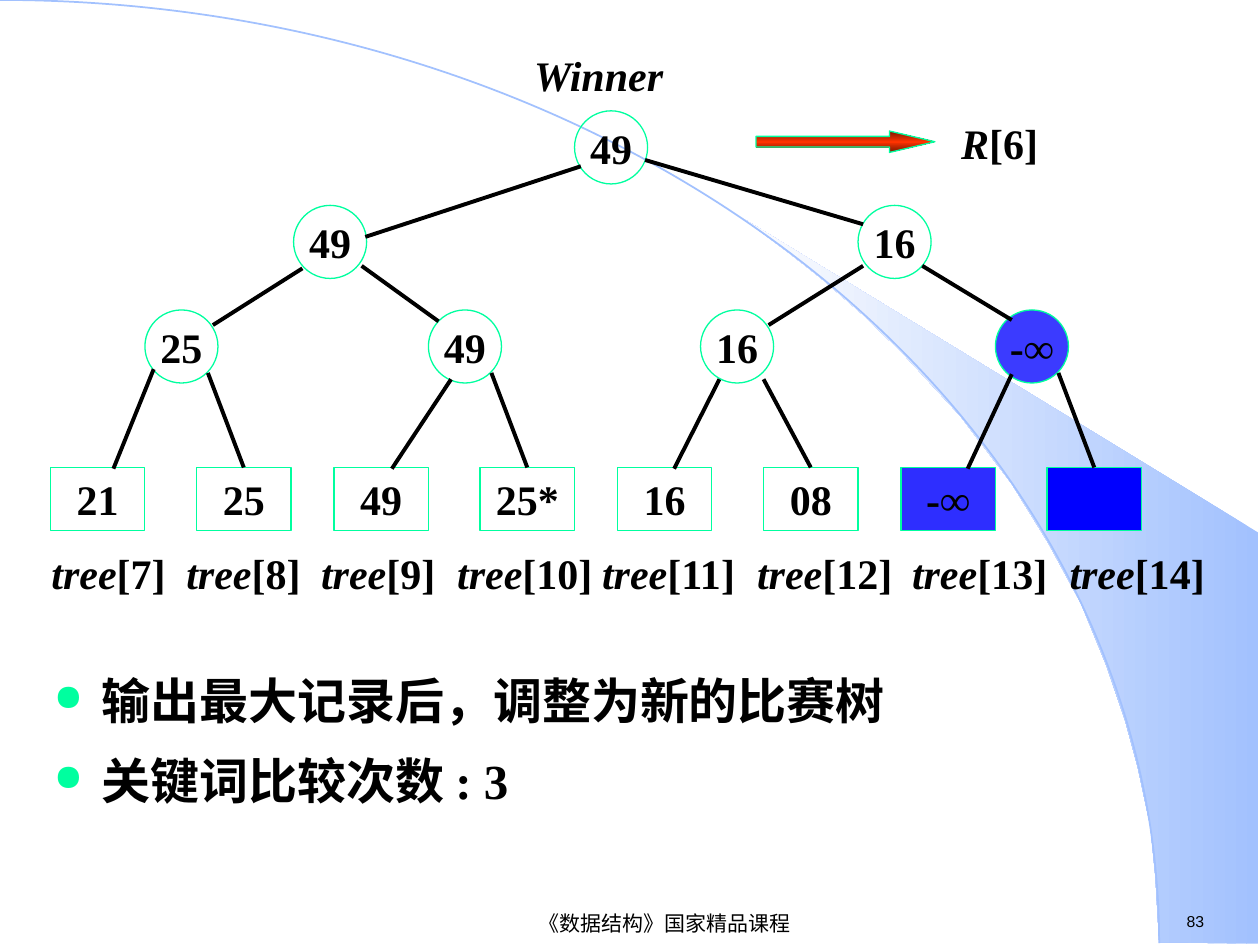
from typing import NamedTuple

from lxml import etree
from pptx import Presentation
from pptx import util as u
from pptx.dml.color import RGBColor
from pptx.enum import shapes, text
from pptx.oxml.ns import qn

COLORS = {
    "ink": "000000",
    "outline": "00FF9F",
    "vacant": "0000FF",
    "swoosh": "A2C1FE",
    "swoosh_end": "FEFEFE",
    "arrow": "FF3300",
    "arrow_edge": "751700",
}
SERIF, SANS = "Times New Roman", "Arial"
CIRCLE, LEAF = (0.58, 0.58), (0.75, 0.5)
LEAF_TOP = 3.71


class Node(NamedTuple):
    label: str
    left: float
    top: float
    opacity: int = 0


class Edge(NamedTuple):
    start: tuple[float, float]
    end: tuple[float, float]


MATCHES = [
    Node("49", 4.56, 0.88),
    Node("49", 2.33, 1.63), Node("16", 6.81, 1.63),
    Node("25", 1.15, 2.46), Node("49", 3.4, 2.46),
    Node("16", 5.56, 2.46), Node("-∞", 7.9, 2.46, 77),
]
LEAF_LABELS = ["21", "25", "49", "25*", "16", "08", "-∞", ""]
LEAF_OPACITY = {6: 82, 7: 100}
# Leaves come in pairs 2.25 apart, 1.16 between the two of a pair.
LEAVES = [
    Node(label, 0.4 + 2.25 * (i // 2) + 1.16 * (i % 2), LEAF_TOP, LEAF_OPACITY.get(i, 0))
    for i, label in enumerate(LEAF_LABELS)
]
MATCH_EDGES = [
    Edge((5.12, 1.27), (6.85, 1.78)), Edge((4.61, 1.32), (2.9, 1.88)),
    Edge((2.4, 2.13), (1.69, 2.58)), Edge((2.87, 2.11), (3.48, 2.55)),
    Edge((6.85, 2.11), (6.1, 2.58)), Edge((7.32, 2.11), (8.03, 2.54)),
]
LEFT_LEAF_EDGES = [
    Edge((1.22, 2.93), (0.9, 3.72)), Edge((3.58, 3.01), (3.11, 3.72)),
    Edge((5.71, 3.01), (5.35, 3.72)), Edge((8.03, 2.97), (7.68, 3.72)),
]
RIGHT_LEAF_STARTS = [(1.65, 2.96), (3.9, 2.96), (6.06, 3.01), (8.4, 2.96)]
INDEX_TABS = [1.07, 2.14, 3.22, 4.37, 5.6, 6.83, 8.08]
SWOOSH = [
    (9.2, 7.48), (9.99, 7.49), (9.99, 4.23), (5.89, 1.73), (6.24, 1.99), (6.53, 2.22),
    (6.85, 2.5), (7.16, 2.8), (7.62, 3.3), (8.03, 3.84), (8.32, 4.31), (8.58, 4.79),
    (8.78, 5.28), (8.93, 5.72), (9.03, 6.09), (9.13, 6.56), (9.17, 6.96),
]


def rgb(name: str) -> RGBColor:
    return RGBColor.from_string(COLORS[name])


def inches(*lengths: float) -> list[u.Length]:
    return [u.Inches(length) for length in lengths]


def add_child(parent, tag: str, **attributes: str):
    return etree.SubElement(parent, qn(tag), attributes)


def write_text(paragraph, runs, *, size=24, font=SERIF, bold=True,
               align=text.PP_ALIGN.LEFT) -> None:
    """Add runs given as (wording, italic) pairs."""
    paragraph.alignment = align
    for wording, italic in runs:
        run = paragraph.add_run()
        run.text = wording
        run.font.size, run.font.name = u.Pt(size), font
        run.font.bold, run.font.italic = bold, italic
        run.font.color.rgb = rgb("ink")


def add_text(slide, box, runs, *, wrap=False, grow=True, middle=False, **style):
    frame = slide.shapes.add_textbox(*inches(*box)).text_frame
    frame.word_wrap = wrap
    frame.auto_size = text.MSO_AUTO_SIZE.SHAPE_TO_FIT_TEXT if grow else text.MSO_AUTO_SIZE.NONE
    if middle:
        frame.vertical_anchor = text.MSO_ANCHOR.MIDDLE
    write_text(frame.paragraphs[0], runs, **style)
    return frame


def fill_gradient(shape, stops: list[tuple[int, str]], angle: int) -> None:
    shape.fill.gradient()
    shape.fill.gradient_angle = angle
    stop_list = next(shape.element.iter(qn("a:gsLst")))
    for stop in list(stop_list):
        stop_list.remove(stop)
    for percent, name in stops:
        stop = add_child(stop_list, "a:gs", pos=str(percent * 1000))
        add_child(stop, "a:srgbClr", val=COLORS[name])


def add_outlined(slide, preset, box, color="outline", width=0.75):
    shape = slide.shapes.add_shape(preset, *inches(*box))
    shape.shadow.inherit = False
    shape.fill.background()
    shape.line.color.rgb = rgb(color)
    shape.line.width = u.Pt(width)
    return shape


def add_node(slide, node: Node, preset, size: tuple[float, float]):
    shape = add_outlined(slide, preset, (node.left, node.top, *size))
    if node.opacity:
        shape.fill.solid()
        shape.fill.fore_color.rgb = rgb("vacant")
        color = next(shape.element.spPr.iter(qn("a:srgbClr")))
        add_child(color, "a:alpha", val=str(node.opacity * 1000))
    if node.label:
        frame = shape.text_frame
        frame.word_wrap = False
        frame.vertical_anchor = text.MSO_ANCHOR.MIDDLE
        write_text(frame.paragraphs[0], [(node.label, False)], align=text.PP_ALIGN.CENTER)
    return shape


def add_edge(slide, edge: Edge):
    line = slide.shapes.add_connector(
        shapes.MSO_CONNECTOR.STRAIGHT, *inches(*edge.start, *edge.end))
    line.line.color.rgb = rgb("ink")
    line.line.width = u.Pt(2.25)
    add_child(line.element.spPr, "a:effectLst")
    return line


def add_background(slide) -> None:
    first, *rest = [tuple(inches(*point)) for point in SWOOSH]
    builder = slide.shapes.build_freeform(*first, scale=1.0)
    builder.add_line_segments(rest, close=True)
    swoosh = builder.convert_to_shape()
    swoosh.shadow.inherit = False
    swoosh.line.fill.background()
    fill_gradient(swoosh, [(0, "swoosh"), (100, "swoosh_end")], 180)
    add_outlined(slide, shapes.MSO_SHAPE.ARC, (-9.2, 0, 18.4, 14.97), "swoosh", 1)


def add_tree(slide) -> None:
    for node in MATCHES:
        add_node(slide, node, shapes.MSO_SHAPE.OVAL, CIRCLE)
    leaves = [add_node(slide, leaf, shapes.MSO_SHAPE.RECTANGLE, LEAF) for leaf in LEAVES]
    for edge in MATCH_EDGES + LEFT_LEAF_EDGES:
        add_edge(slide, edge)
    for start, leaf in zip(RIGHT_LEAF_STARTS, leaves[1::2]):
        add_edge(slide, Edge(start, (start[0], LEAF_TOP))).end_connect(leaf, 0)


def add_index_row(slide) -> None:
    """Label the leaves tree[7] to tree[14], spaced by tab stops."""
    runs = []
    for index in range(7, 15):
        runs += [("tree", True), (f"[{index}]" + ("\t" if index < 14 else ""), False)]
    frame = add_text(slide, (0.31, 4.3, 9.42, 0.5), runs, wrap=True)
    tabs = add_child(frame.paragraphs[0]._p.get_or_add_pPr(), "a:tabLst")
    for position in INDEX_TABS:
        add_child(tabs, "a:tab", pos=str(u.Inches(position)), algn="l")


def add_bullets(slide, lines: list[str]) -> None:
    frame = slide.shapes.add_textbox(*inches(0.33, 5.11, 9.35, 1.52)).text_frame
    frame.word_wrap = True
    for i, line in enumerate(lines):
        paragraph = frame.add_paragraph() if i else frame.paragraphs[0]
        paragraph.line_spacing = 1.35
        properties = paragraph._p.get_or_add_pPr()
        properties.set("marL", str(u.Inches(0.38)))
        properties.set("indent", str(u.Inches(-0.38)))
        add_child(add_child(properties, "a:buClr"), "a:srgbClr", val=COLORS["outline"])
        add_child(properties, "a:buSzPct", val="75000")
        add_child(properties, "a:buChar", char="●")
        write_text(paragraph, [(line, False)], size=28, align=text.PP_ALIGN.JUSTIFY)


def main() -> None:
    presentation = Presentation()
    presentation.slide_width, presentation.slide_height = inches(10, 7.5)
    slide = presentation.slides.add_slide(presentation.slide_layouts[6])
    add_background(slide)
    add_text(slide, (9.32, 7.19, 0.77, 0.25), [("83", False)], size=9, font=SANS, bold=False)
    add_text(slide, (2.4, 7.21, 5.75, 0.24), [("《数据结构》国家精品课程", False)], grow=False,
             middle=True, size=12, font=SANS, bold=False, align=text.PP_ALIGN.CENTER)
    add_bullets(slide, ["输出最大记录后，调整为新的比赛树", "关键词比较次数 : 3"])
    add_tree(slide)
    add_text(slide, (4.14, 0.34, 1.32, 0.5), [("Winner", True)])
    add_index_row(slide)
    arrow = add_outlined(slide, shapes.MSO_SHAPE.RIGHT_ARROW, (6, 1.04, 1.42, 0.17))
    arrow.adjustments[1] = 2.12
    fill_gradient(arrow, [(0, "arrow_edge"), (50, "arrow"), (100, "arrow_edge")], 90)
    add_text(slide, (7.53, 0.88, 0.81, 0.5), [("R", True), ("[6]", False)])
    presentation.save("out.pptx")


if __name__ == "__main__":
    main()
